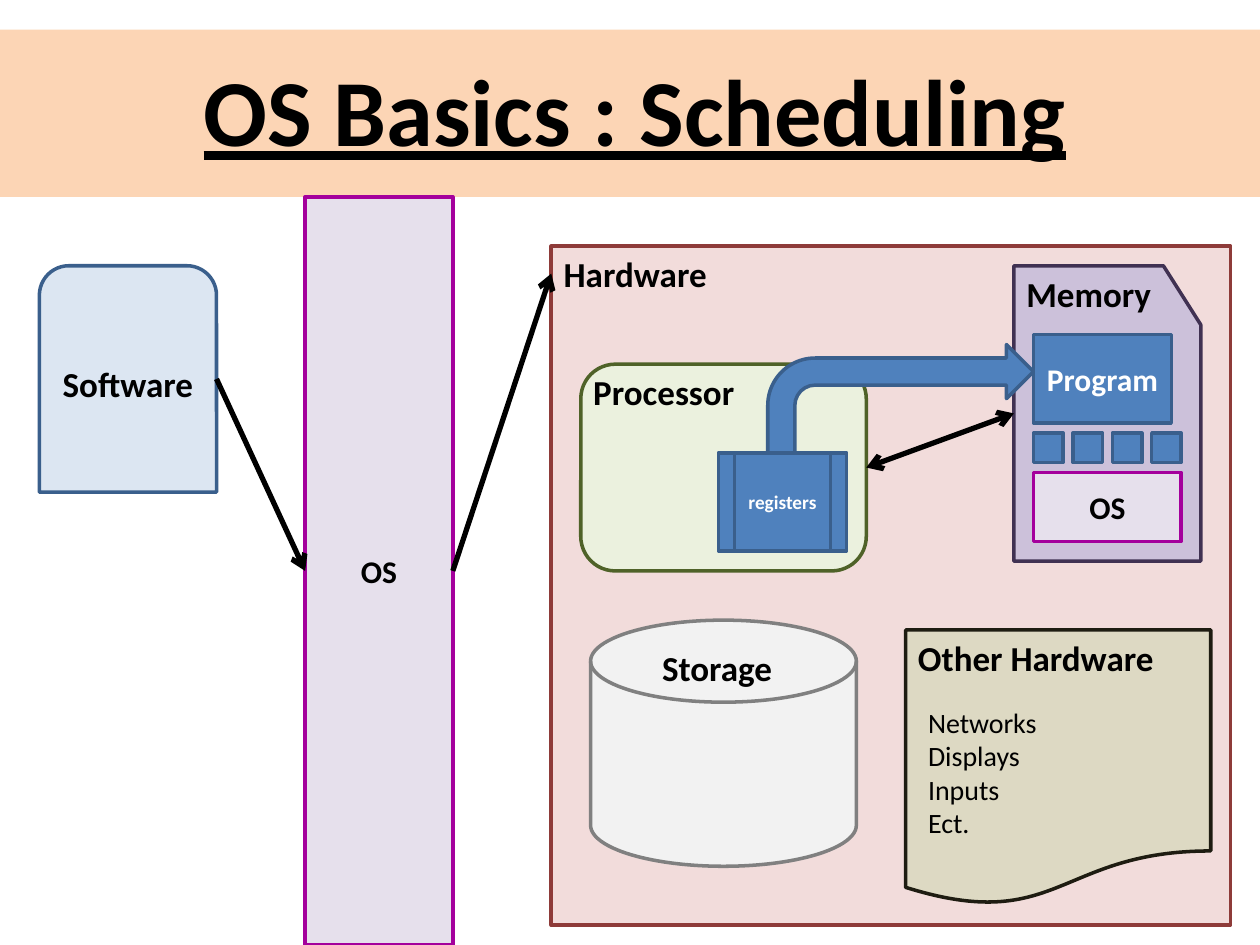
from lxml.etree import SubElement
from pptx import Presentation
from pptx.dml.color import RGBColor
from pptx.enum.shapes import MSO_CONNECTOR, MSO_SHAPE
from pptx.enum.text import MSO_ANCHOR, MSO_AUTO_SIZE, PP_ALIGN
from pptx.oxml.ns import qn
from pptx.util import Pt

UNIT = 5.625
BLUE = ("4F81BD", "3A5F8C")
LILAC = ("E6E0EC", "A4009C")
BOLD = {"name": "Calibri", "bold": True}


def grid(*nums):
    """Turn grid steps into lengths."""
    return [Pt(num * UNIT) for num in nums]


def apply(item, vals):
    """Set each named value on an item."""
    for key, val in vals.items():
        setattr(item, key, val)


def paint(part, hue):
    """Give a fill or font colour a hex value."""
    part.rgb = RGBColor.from_string(hue)


def write(frame, text, size, hue="000000", align=PP_ALIGN.LEFT, **more):
    """Fill a frame with formatted lines of text."""
    frame.text = text
    for para in frame.paragraphs:
        apply(para, {"alignment": align, "space_before": Pt(0), "line_spacing": 1.0})
        apply(para.font, {**BOLD, "size": Pt(size), **more})
        paint(para.font.color, hue)


def shape(slide, kind, box, fill, edge=None, text="", size=18, hue="000000"):
    """Add a preset shape with optional centred text."""
    item = slide.shapes.add_shape(kind, *grid(*box))
    item.shadow.inherit = False
    item.fill.solid()
    paint(item.fill.fore_color, fill)
    if edge:
        paint(item.line.color, edge)
        item.line.width = Pt(2)
    else:
        item.line.fill.background()
    if text:
        frame = item.text_frame
        apply(frame, {"vertical_anchor": MSO_ANCHOR.MIDDLE, "word_wrap": True})
        write(frame, text, size, hue, PP_ALIGN.CENTER)
    return item


def label(slide, text, left, top, width):
    """Add a bold one-line label."""
    frame = slide.shapes.add_textbox(*grid(left, top, width, 5.6)).text_frame
    apply(frame, {"word_wrap": False, "auto_size": MSO_AUTO_SIZE.SHAPE_TO_FIT_TEXT})
    write(frame, text, 20)


def holder(slide, item, box, anchor):
    """Place a placeholder on top and return its frame."""
    slide.shapes._spTree.append(item._element)
    apply(item, dict(zip(("left", "top", "width", "height"), grid(*box))))
    apply(item.text_frame, {"vertical_anchor": anchor, "word_wrap": True,
                            "auto_size": MSO_AUTO_SIZE.NONE})
    return item.text_frame


def arrow(slide, start, end, ends=("tailEnd",)):
    """Add a black line with open arrowheads."""
    item = slide.shapes.add_connector(MSO_CONNECTOR.STRAIGHT, *grid(*start, *end))
    paint(item.line.color, "000000")
    item.line.width = Pt(3)
    line = item.line._get_or_add_ln()
    for tag in ends:
        SubElement(line, qn("a:" + tag), type="arrow")
    SubElement(item._element.spPr, qn("a:effectLst"))


def title(slide):
    """Add the heading on its band."""
    shape(slide, MSO_SHAPE.RECTANGLE, (0, 3, 128, 17), "FCD5B5")
    frame = holder(slide, slide.shapes.title, (5, 5, 119, 12), MSO_ANCHOR.MIDDLE)
    write(frame, "OS Basics : Scheduling", 54, align=PP_ALIGN.CENTER, underline=True)


def parts(slide):
    """Add the hardware box and the units in it."""
    shape(slide, MSO_SHAPE.RECTANGLE, (56, 25, 69, 69), "F2DCDB", "8E3B39")
    label(slide, "Hardware", 56, 25, 17.2)
    shape(slide, MSO_SHAPE.ROUNDED_RECTANGLE, (59, 37, 29, 21), "EBF1DE", "4F6228")
    label(slide, "Processor", 59, 37, 17)
    card = shape(slide, MSO_SHAPE.FLOWCHART_CARD, (103, 27, 19, 30), "CCC1DA", "403152")
    card._element.spPr.xfrm.set("flipH", "1")
    label(slide, "Memory", 103, 27, 15.4)
    shape(slide, MSO_SHAPE.FLOWCHART_DOCUMENT, (92, 64, 31, 28), "DDD9C3", "1E1C11")
    arrow(slide, (88, 47.5), (103, 42), ("headEnd", "tailEnd"))
    shape(slide, MSO_SHAPE.FLOWCHART_MAGNETIC_DISK, (60, 63, 27, 25), "F2F2F2", "808080")
    label(slide, "Storage", 66, 65, 13.8)
    label(slide, "Other Hardware", 92, 64, 26.8)


def others(slide):
    """List the other hardware."""
    frame = holder(slide, slide.placeholders[1], (93, 71, 13.8, 15.1), MSO_ANCHOR.TOP)
    write(frame, "Networks\nDisplays\nInputs\nEct.", 16, bold=False)
    for para in frame.paragraphs:
        props = para._p.get_or_add_pPr()
        props.set("marL", "0")
        props.set("indent", "0")
        SubElement(props, qn("a:buNone"))
        font = props.find(qn("a:defRPr"))
        if font is not None:
            props.append(font)


def memory(slide):
    """Add the contents of memory and the register link."""
    box = MSO_SHAPE.RECTANGLE
    shape(slide, box, (105, 34, 14, 9), *BLUE, "Program", 18, "FFFFFF")
    shape(slide, MSO_SHAPE.FLOWCHART_PREDEFINED_PROCESS, (73, 46, 13, 10),
          *BLUE, "registers", 11, "FFFFFF")
    shape(slide, MSO_SHAPE.BENT_ARROW, (78, 35, 27, 11), *BLUE)
    shape(slide, box, (105, 48, 15, 7), *LILAC, "OS")
    for step in range(4):
        shape(slide, box, (105 + 4 * step, 44, 3, 3), *BLUE)


def main():
    """Build and save the slide."""
    deck = Presentation()
    apply(deck, {"slide_width": Pt(720), "slide_height": Pt(540)})
    slide = deck.slides.add_slide(deck.slide_layouts[1])
    title(slide)
    shape(slide, MSO_SHAPE.ROUND_2_SAME_RECTANGLE, (4, 27, 18, 23),
          "DCE6F2", "3A5F8C", "Software", 20)
    parts(slide)
    others(slide)
    shape(slide, MSO_SHAPE.RECTANGLE, (31, 20, 15, 76), *LILAC, "OS")
    arrow(slide, (22, 38.5), (31, 58))
    arrow(slide, (46, 58), (56, 27.8))
    memory(slide)
    deck.save("out.pptx")


main()
